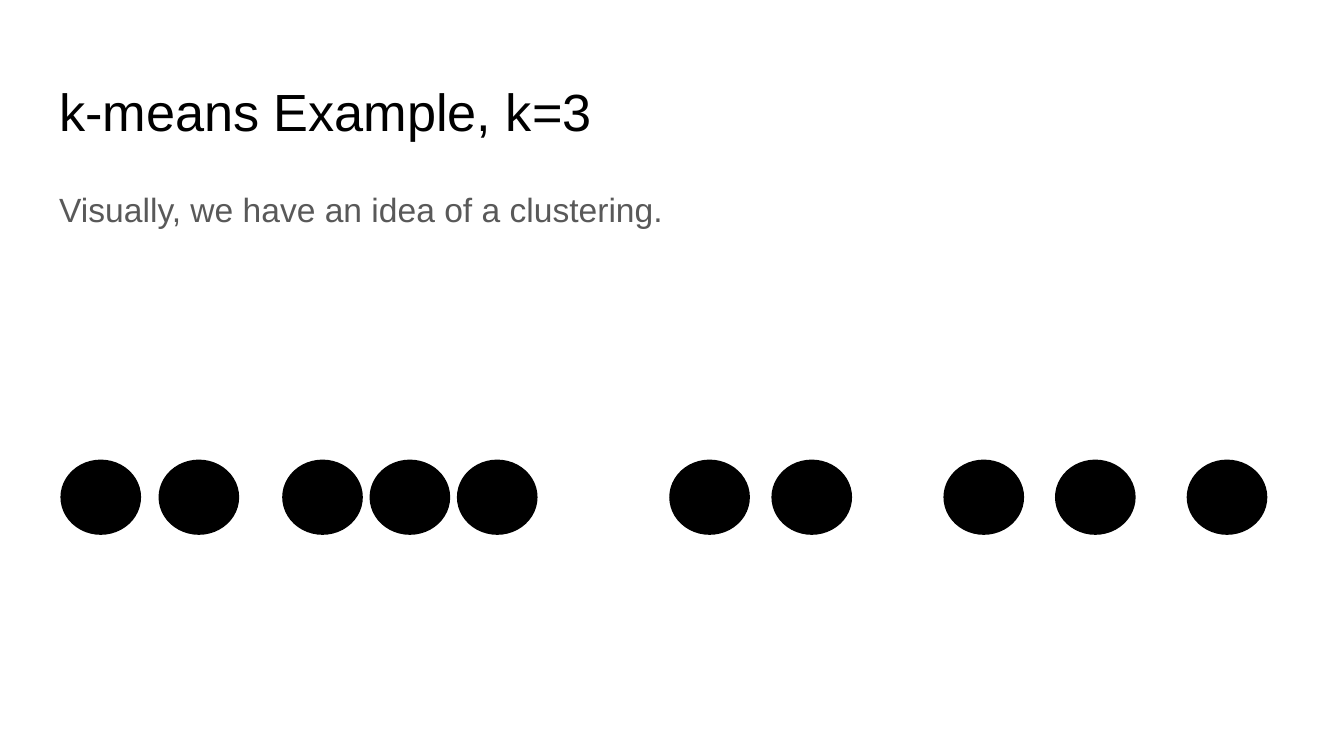
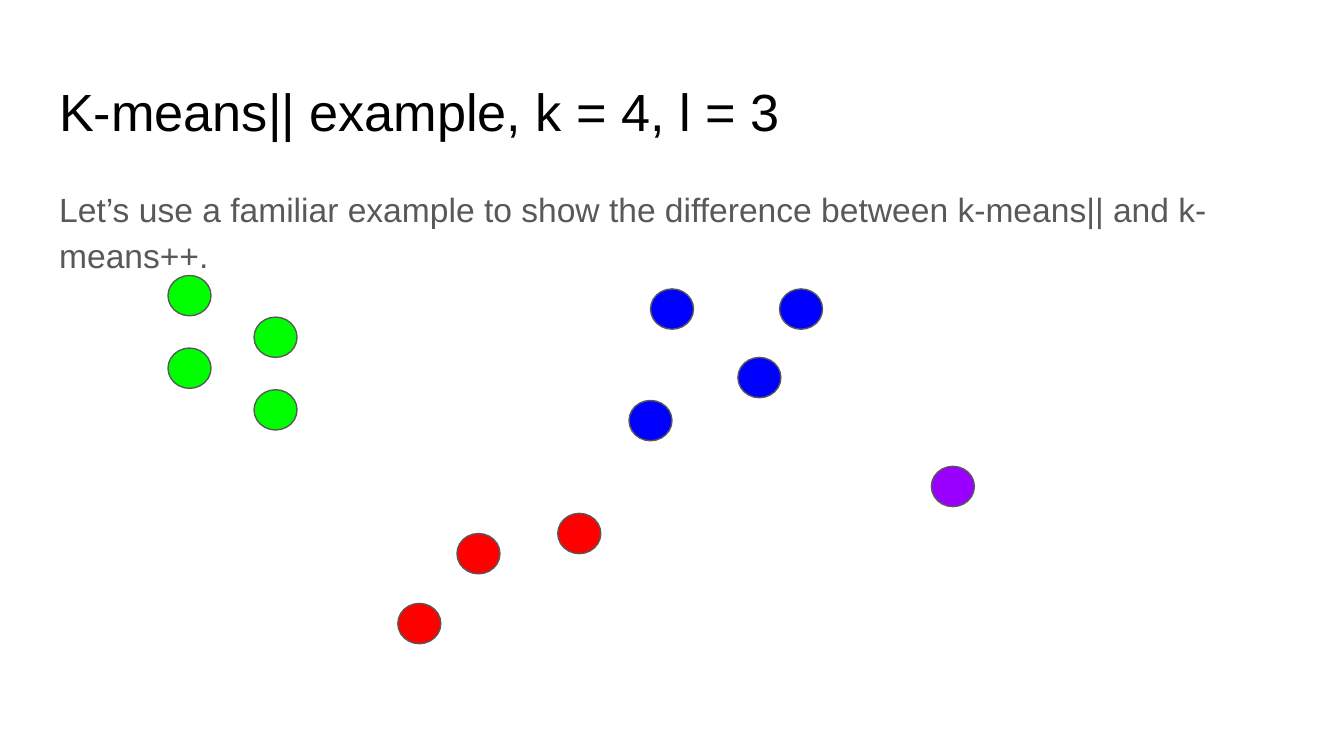
from dataclasses import dataclass

from lxml import etree
from pptx import Presentation
from pptx.dml.color import RGBColor
from pptx.enum.shapes import MSO_SHAPE
from pptx.enum.text import MSO_ANCHOR, MSO_AUTO_SIZE, PP_ALIGN
from pptx.oxml.ns import qn
from pptx.util import Inches, Pt

ELLIPSE = MSO_SHAPE.OVAL
TOP = MSO_ANCHOR.TOP
LEFT = PP_ALIGN.LEFT
NO_AUTOFIT = MSO_AUTO_SIZE.NONE


@dataclass(frozen=True)
class Theme:
    font: str = "Arial"
    title_size: int = 28
    body_size: int = 18
    outline_width: float = 0.75
    black: str = "000000"
    gray: str = "595959"
    green: str = "00FF00"
    blue: str = "0000FF"
    red: str = "FF0000"
    purple: str = "9900FF"


THEME = Theme()

# Boxes: left, top, width, height in inches
PAGE_SIZE = (10, 5.625)
TITLE_BOX = (0.34, 0.49, 9.32, 0.63)
BODY_BOX = (0.34, 1.26, 9.32, 3.74)
ROW_BOX = (0.45, 3.42, 8.98, 0.56)
SCATTER_BOX = (1.25, 2.05, 6.0, 2.74)

ROW_POINT_SIZE = (0.6, 0.56)
SCATTER_POINT_SIZE = (0.32, 0.3)

# Distances of the points from the left edge of the row
ROW_OFFSETS = (0, 0.73, 1.65, 2.3, 2.95, 4.53, 5.29, 6.57, 7.4, 8.38)

# Offsets of the points in each cluster from the corner of the scatter
CLUSTERS = {
    THEME.green: ((0, 0), (0, 0.54), (0.64, 0.31), (0.64, 0.85)),
    THEME.blue: ((3.59, 0.1), (3.43, 0.93), (4.24, 0.61), (4.55, 0.1)),
    THEME.red: ((2.15, 1.92), (2.9, 1.77), (1.71, 2.44)),
    THEME.purple: ((5.68, 1.42),),
}

FRAME_FORMAT = {
    "word_wrap": True,
    "auto_size": NO_AUTOFIT,
    "vertical_anchor": TOP,
    **{f"margin_{side}": Inches(0.1) for side in ("left", "top", "right", "bottom")},
}
TITLE_FORMAT = {"alignment": LEFT}
BODY_FORMAT = {
    "alignment": LEFT,
    "line_spacing": 1.15,
    "space_before": Pt(0),
    "space_after": Pt(16),
}


def apply_format(target, values):
    for name, value in values.items():
        setattr(target, name, value)


def remove_bullet(para):
    properties = para._p.get_or_add_pPr()
    properties.set("marL", "0")
    properties.set("indent", "0")
    etree.SubElement(properties, qn("a:buNone"))


def fill_placeholder(placeholder, box, text, size, color, para_format, plain=False):
    names = ("left", "top", "width", "height")
    apply_format(placeholder, dict(zip(names, map(Inches, box))))
    frame = placeholder.text_frame
    apply_format(frame, FRAME_FORMAT)
    para = frame.paragraphs[0]
    if plain:
        remove_bullet(para)
    apply_format(para, para_format)
    span = para.add_run()
    span.text = text
    apply_format(span.font, {"name": THEME.font, "size": Pt(size)})
    span.font.color.rgb = RGBColor.from_string(color)


def add_page(deck, title, body):
    """Add a page with a title and one unbulleted paragraph."""
    page = deck.slides.add_slide(deck.slide_layouts[1])
    fill_placeholder(page.shapes.title, TITLE_BOX, title,
                     THEME.title_size, THEME.black, TITLE_FORMAT)
    fill_placeholder(page.placeholders[1], BODY_BOX, body,
                     THEME.body_size, THEME.gray, BODY_FORMAT, plain=True)
    return page


def add_point(page, box, offset, size, color, outline=None):
    left, top = (start + step for start, step in zip(box, offset))
    point = page.shapes.add_shape(ELLIPSE, *map(Inches, (left, top, *size)))
    point.shadow.inherit = False
    point.fill.solid()
    point.fill.fore_color.rgb = RGBColor.from_string(color)
    if outline:
        point.line.color.rgb = RGBColor.from_string(outline)
        point.line.width = Pt(THEME.outline_width)
    else:
        point.line.fill.background()


def add_point_row(page, box):
    for offset in ROW_OFFSETS:
        add_point(page, box, (offset, 0), ROW_POINT_SIZE, THEME.black)


def add_scatter(page, box):
    for color, offsets in CLUSTERS.items():
        for offset in offsets:
            add_point(page, box, offset, SCATTER_POINT_SIZE, color, THEME.gray)


def main():
    deck = Presentation()
    deck.slide_width, deck.slide_height = map(Inches, PAGE_SIZE)

    # Points on a line
    page = add_page(deck, "k-means Example, k=3",
                    "Visually, we have an idea of a clustering.")
    add_point_row(page, ROW_BOX)

    # Coloured clusters in the plane
    page = add_page(deck, "K-means|| example, k = 4, l = 3",
                    "Let’s use a familiar example to show the difference "
                    "between k-means|| and k-means++.")
    add_scatter(page, SCATTER_BOX)

    deck.save("out.pptx")


if __name__ == "__main__":
    main()
